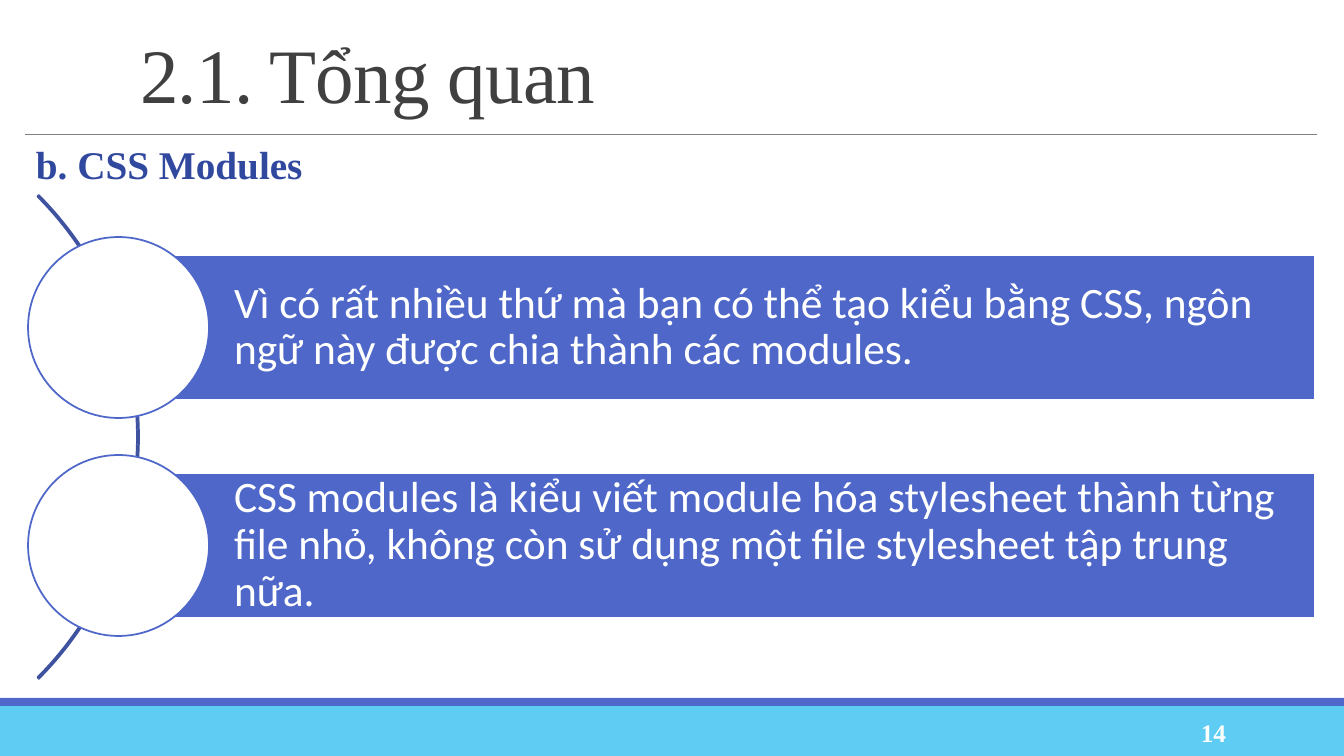
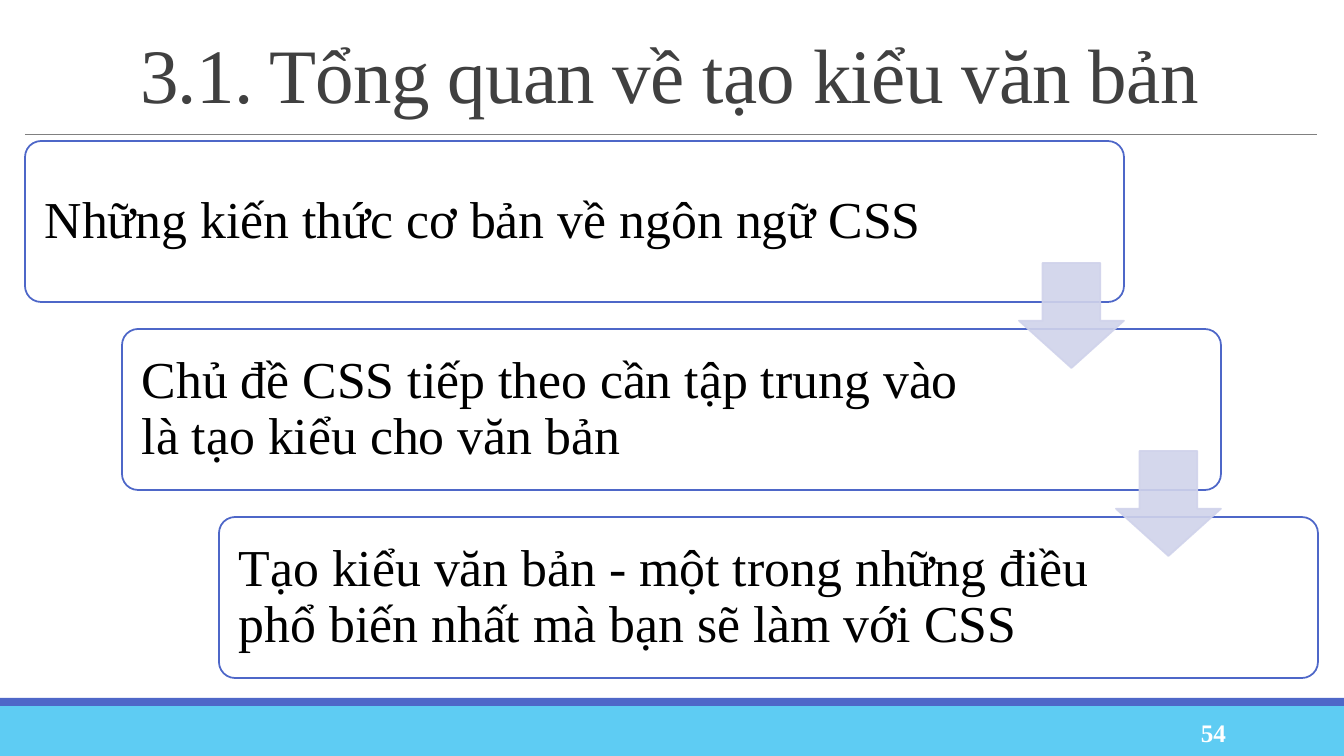
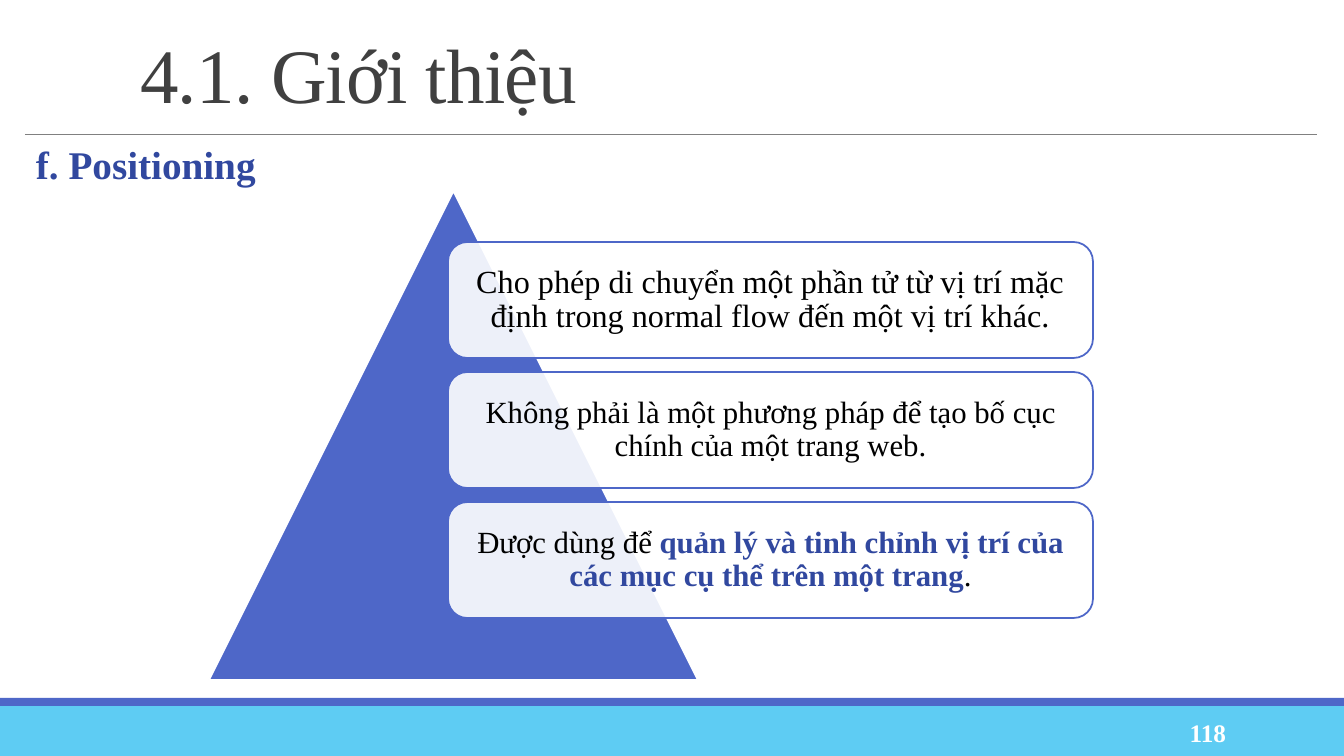
from lxml import etree
from pptx import Presentation
from pptx import util as u
from pptx.dml.color import RGBColor
from pptx.enum import shapes, text
from pptx.oxml.ns import qn

PX = u.Inches(1) / 100.8
BLUE = RGBColor(0x4E, 0x67, 0xC8)
DARK_BLUE = RGBColor(0x31, 0x48, 0x9F)
ARC_BLUE = RGBColor(0x3E, 0x52, 0xA0)
PALE_BLUE = RGBColor(0xD0, 0xD3, 0xEB)
SKY = RGBColor(0x5E, 0xCC, 0xF3)
GREY = RGBColor(0x80, 0x80, 0x80)
CHARCOAL = RGBColor(0x40, 0x40, 0x40)
WHITE = RGBColor(0xFF, 0xFF, 0xFF)
BLACK = RGBColor(0, 0, 0)
SERIF, SANS = "Times New Roman", "Calibri"
KIND, ALIGN = shapes.MSO_SHAPE, text.PP_ALIGN


def draw(slide, kind, box, fill=None, line=None, opacity=100):
    """Add a preset shape; opacity applies to everything in the fill colour."""
    shape = slide.shapes.add_shape(kind, *(round(n * PX) for n in box))
    shape.shadow.inherit = False
    if fill is None:
        shape.fill.background()
    else:
        shape.fill.solid()
        shape.fill.fore_color.rgb = fill
    if line is None:
        shape.line.fill.background()
    else:
        shape.line.color.rgb = line
        shape.line.width = u.Pt(1.25)
    if opacity < 100:
        for colour in shape.element.iter(qn("a:srgbClr")):
            if colour.get("val") == str(fill):
                etree.SubElement(colour, qn("a:alpha")).set("val", str(opacity * 1000))
    return shape


def write(shape, words, size, color, font=SERIF, bold=False, align=ALIGN.LEFT,
          spacing=0.9, insets=(10, 5, 10, 5), anchor=text.MSO_ANCHOR.MIDDLE):
    """Fill a shape with one paragraph; insets are left, top, right, bottom."""
    frame = shape.text_frame
    frame.word_wrap = True
    frame.auto_size = text.MSO_AUTO_SIZE.NONE
    frame.vertical_anchor = anchor
    (frame.margin_left, frame.margin_top,
     frame.margin_right, frame.margin_bottom) = (round(n * PX) for n in insets)
    paragraph = frame.paragraphs[0]
    paragraph.alignment = align
    paragraph.line_spacing = spacing
    paragraph.font.name = font
    paragraph.font.size = u.Pt(size)
    paragraph.font.bold = bold
    paragraph.font.color.rgb = color
    for part in words:
        paragraph.add_run().text = part
    return paragraph


deck = Presentation()
deck.slide_width, deck.slide_height = round(1344 * PX), round(756 * PX)
layout = deck.slide_layouts[5]
heading = layout.placeholders[0]
heading.left, heading.top, heading.width, heading.height = (
    round(n * PX) for n in (130, 31, 1187, 97))

# Title, optional subtitle and page number of each slide
pages = [
    ("2.1. Tổng quan", "b. CSS Modules", "14"),
    ("3.1. Tổng quan về tạo kiểu văn bản", None, "54"),
    ("4.1. Giới thiệu", "f. Positioning", "118"),
]
for title, subtitle, number in pages:
    slide = deck.slides.add_slide(layout)
    line = write(slide.shapes.title, [title], 55, CHARCOAL, spacing=0.85)
    line.runs[0].font._element.set("spc", "-50")
    if subtitle:
        label = slide.shapes.add_textbox(*(round(n * PX) for n in (25, 141, 1292, 50)))
        write(label, [subtitle], 28, DARK_BLUE, bold=True,
              insets=(11, 5, 0, 5), anchor=text.MSO_ANCHOR.TOP)
    page_number = slide.shapes.add_textbox(*(round(n * PX) for n in (1092, 712, 144, 40)))
    write(page_number, [number], 18, WHITE, bold=True, align=ALIGN.RIGHT, spacing=1)
modules, styling, positioning = deck.slides

# Footer bands and title rule, moved to the layout so that all slides share them
footer = draw(modules, KIND.RECTANGLE, (0, 706, 1344, 50), SKY)
stripe = draw(modules, KIND.RECTANGLE, (0, 698, 1344, 8), BLUE)
rule = modules.shapes.add_connector(
    shapes.MSO_CONNECTOR.STRAIGHT, *(round(n * PX) for n in (25, 134, 1317, 134)))
rule.line.color.rgb = GREY
rule.line.width = u.Pt(0.5)
etree.SubElement(rule.element.spPr, qn("a:effectLst"))
for place, shared in enumerate((footer, stripe, rule), start=2):
    layout.shapes.element.insert(place, shared.element)

# Slide 1: an arc carrying two statements
arc = draw(modules, KIND.BLOCK_ARC, (-545, 95, 684, 684), line=ARC_BLUE)
for index, value in enumerate((189, 27, 0.003)):
    arc.adjustments[index] = value
statements = [
    "Vì có rất nhiều thứ mà bạn có thể tạo kiểu bằng CSS, ngôn ngữ này được "
    "chia thành các modules.",
    "CSS modules là kiểu viết module hóa stylesheet thành từng file nhỏ, không "
    "còn sử dụng một file stylesheet tập trung nữa.",
]
for row, statement in enumerate(statements):
    bar = draw(modules, KIND.RECTANGLE, (119, 255 + 218 * row, 1196, 145), BLUE, WHITE)
    write(bar, [statement], 31, WHITE, font=SANS, insets=(115, 9, 9, 9))
    draw(modules, KIND.OVAL, (28, 237 + 218 * row, 181, 181), WHITE, BLUE)

# Slide 2: a staircase of steps joined by arrows
steps = [
    ("Những kiến thức cơ bản về ngôn ngữ CSS", 179),
    ("Chủ đề CSS tiếp theo cần tập trung vào là tạo kiểu cho văn bản", 217),
    ("Tạo kiểu văn bản - một trong những điều phổ biến nhất mà bạn sẽ làm với CSS", 217),
]
for row, (step, right_inset) in enumerate(steps):
    card = draw(styling, KIND.ROUNDED_RECTANGLE,
                (25 + 97 * row, 141 + 188 * row, 1099, 161), WHITE, BLUE)
    card.adjustments[0] = 0.1
    write(card, [step], 37, BLACK, insets=(15, 15, right_inset, 15))
for row in range(len(steps) - 1):
    arrow = draw(styling, KIND.DOWN_ARROW, (1019 + 97 * row, 263 + 188 * row, 105, 105),
                 PALE_BLUE, PALE_BLUE, opacity=90)
    arrow.adjustments[0], arrow.adjustments[1] = 0.55, 0.45

# Slide 3: a pyramid with three notes; the second part of a note is emphasised
draw(positioning, KIND.ISOSCELES_TRIANGLE, (209, 191, 489, 489), BLUE, WHITE)
notes = [
    (23, ["Cho phép di chuyển một phần tử từ vị trí mặc định trong normal flow "
          "đến một vị trí khác."]),
    (22, ["Không phải là một phương pháp để tạo bố cục chính của một trang web."]),
    (22, ["Được dùng để ",
          "quản lý và tinh chỉnh vị trí của các mục cụ thể trên một trang", "."]),
]
for row, (size, words) in enumerate(notes):
    note = draw(positioning, KIND.ROUNDED_RECTANGLE, (448, 242 + 130 * row, 645, 116),
                WHITE, BLUE, opacity=90)
    line = write(note, words, size, BLACK, align=ALIGN.CENTER, insets=(9, 9, 9, 9))
    for emphasis in line.runs[1:2]:
        emphasis.font.bold = True
        emphasis.font.color.rgb = DARK_BLUE

deck.save("out.pptx")
